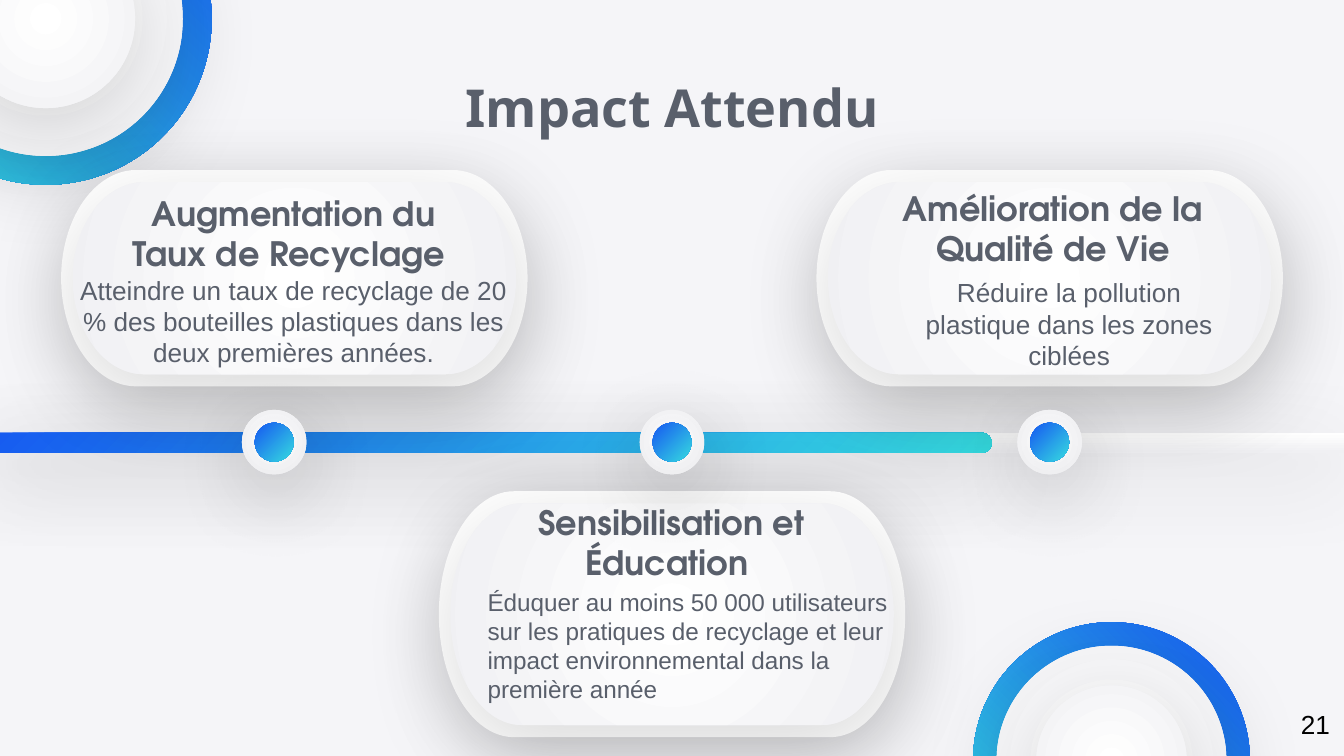
from dataclasses import dataclass

from lxml import etree
from pptx import Presentation
from pptx.dml.color import RGBColor
from pptx.enum.shapes import MSO_SHAPE
from pptx.enum.text import MSO_ANCHOR, MSO_AUTO_SIZE, PP_ALIGN
from pptx.oxml import parse_xml
from pptx.oxml.ns import nsdecls, qn
from pptx.util import Inches, Pt

OVAL = MSO_SHAPE.OVAL
PILL = MSO_SHAPE.FLOWCHART_TERMINATOR
BAR = MSO_SHAPE.RECTANGLE
ROUND_BAR = MSO_SHAPE.ROUNDED_RECTANGLE
MIDDLE = MSO_ANCHOR.MIDDLE
FIXED = MSO_AUTO_SIZE.NONE
GROW = MSO_AUTO_SIZE.SHAPE_TO_FIT_TEXT
CENTER = PP_ALIGN.CENTER
LEFT = PP_ALIGN.LEFT


@dataclass(frozen=True)
class Theme:
    background: str = "F5F5F8"
    text: str = "595F6B"
    number: str = "000000"
    white: str = "FFFFFF"
    pearl: tuple = ("FFFFFF", "F0F0F3")
    ocean: tuple = ("1658F1", "36DBE0")
    title_font: str = "Noto Sans"
    heading_font: str = "TeX Gyre Adventor"
    body_font: str = "Arial"
    title_size: int = 28
    heading_size: int = 18
    body_size: int = 14
    small_size: int = 13


THEME = Theme()
SLIDE_WIDTH = 10
SLIDE_HEIGHT = SLIDE_WIDTH * 9 / 16
LINE_Y = 3.29
MILESTONES = (2.04, 5, 7.81)
RINGS = (
    (0.34, 0.14, (2.47, 2.04, 1.33)),
    (8.27, 5.66, (2.06, 1.71, 1.12)),
)
CARDS = (
    (5, 4.57, 1.83),
    (7.81, 2.07, 1.61),
    (2.19, 2.07, 1.61),
)
HEADINGS = (
    ("Augmentation du Taux de Recyclage ", 0.78, 1.53),
    ("Sensibilisation et Éducation ", 3.59, 3.83),
    ("Amélioration de la Qualité de Vie", 6.43, 1.49),
)
DETAILS = (
    ("Réduire la pollution plastique dans les zones ciblées",
     (6.61, 2.01, 2.69, 0.57), THEME.body_size, CENTER),
    ("Atteindre un taux de recyclage de 20 % des bouteilles plastiques "
     "dans les deux premières années.",
     (0.41, 1.99, 3.55, 0.81), THEME.body_size, CENTER),
    ("Éduquer au moins 50 000 utilisateurs sur les pratiques de recyclage "
     "et leur impact environnemental dans la première année",
     (3.53, 4.32, 3.3, 0.98), THEME.small_size, LEFT),
)


def add_shadow(shape):
    effects = shape._element.spPr.find(qn("a:effectLst"))
    effects.append(parse_xml(
        f'<a:outerShdw {nsdecls("a")} blurRad="{Pt(45)}" dist="{Pt(11.2)}" '
        'dir="5100000" algn="bl" rotWithShape="0"><a:srgbClr val="000000">'
        '<a:alpha val="15000"/></a:srgbClr></a:outerShdw>'))


def fill_gradient(shape, colors, angle=None):
    shape.fill.gradient()
    for stop, color in zip(shape.fill.gradient_stops, colors):
        stop.color.rgb = RGBColor.from_string(color)
    if angle is not None:
        shape.fill.gradient_angle = angle
        return
    gradient = shape._element.spPr.find(qn("a:gradFill"))
    gradient.remove(gradient.find(qn("a:lin")))
    radial = etree.SubElement(gradient, qn("a:path"), path="circle")
    etree.SubElement(radial, qn("a:fillToRect"),
                     {side: "50000" for side in "ltrb"})


def add_form(slide, preset, box, colors, angle=None, rotation=0, shadow=True):
    shape = slide.shapes.add_shape(preset, *map(Inches, box))
    shape.rotation = rotation
    shape.line.fill.background()
    shape.shadow.inherit = False
    if isinstance(colors, str):
        shape.fill.solid()
        shape.fill.fore_color.rgb = RGBColor.from_string(colors)
    else:
        fill_gradient(shape, colors, angle)
    if shadow:
        add_shadow(shape)
    return shape


def centered_box(x, y, width, height):
    return x - width / 2, y - height / 2, width, height


def add_ring(slide, x, y, sizes):
    band, disc, core = (centered_box(x, y, size, size) for size in sizes)
    add_form(slide, OVAL, band, THEME.ocean, 315, 90, shadow=False)
    for box in (disc, core):
        add_form(slide, OVAL, box, THEME.pearl, rotation=90)


def add_timeline(slide):
    add_form(slide, BAR, (0, 3.22, SLIDE_WIDTH, 0.15), THEME.pearl, 270)
    progress = add_form(slide, ROUND_BAR, (-0.26, 3.22, 7.64, 0.15),
                        THEME.ocean, 315)
    progress.adjustments[0] = 0.5


def add_card(slide, x, y, height):
    add_form(slide, PILL, centered_box(x, y, 3.47, height),
             THEME.white, rotation=180)
    add_form(slide, PILL, centered_box(x, y, 3.3, height - 0.18),
             THEME.pearl, rotation=180)


def add_milestone(slide, x):
    add_form(slide, OVAL, centered_box(x, LINE_Y, 0.48, 0.48), THEME.pearl)
    add_form(slide, OVAL, centered_box(x, LINE_Y, 0.29, 0.29),
             THEME.ocean, 315)


def write_text(frame, text, font, size, align=CENTER, bold=False,
               color=THEME.text):
    frame.text = text
    paragraph = frame.paragraphs[0]
    paragraph.alignment = align
    for run in paragraph.runs:
        run.font.name = font
        run.font.size = Pt(size)
        run.font.bold = bold
        run.font.color.rgb = RGBColor.from_string(color)


def center_frame(frame):
    frame.word_wrap = True
    frame.auto_size = FIXED
    frame.vertical_anchor = MIDDLE
    frame.margin_left = frame.margin_right = Inches(0.1)
    frame.margin_top = frame.margin_bottom = Inches(0.1)


def set_title(slide, text):
    title = slide.shapes.title
    title.left, title.top, title.width, title.height = map(
        Inches, (0.78, 0.59, 8.44, 0.41))
    center_frame(title.text_frame)
    write_text(title.text_frame, text, THEME.title_font, THEME.title_size,
               bold=True)


def add_heading(slide, text, left, top):
    box = (left, top, 2.81, 0.41)
    frame = slide.shapes.add_textbox(*map(Inches, box)).text_frame
    center_frame(frame)
    write_text(frame, text, THEME.heading_font, THEME.heading_size, bold=True)


def add_detail(slide, text, box, size, align, color=THEME.text, wrap=True):
    frame = slide.shapes.add_textbox(*map(Inches, box)).text_frame
    frame.word_wrap = wrap
    frame.auto_size = GROW
    write_text(frame, text, THEME.body_font, size, align, color=color)


def main():
    deck = Presentation()
    deck.slide_width = Inches(SLIDE_WIDTH)
    deck.slide_height = Inches(SLIDE_HEIGHT)
    slide = deck.slides.add_slide(deck.slide_layouts[5])
    slide.background.fill.solid()
    slide.background.fill.fore_color.rgb = RGBColor.from_string(
        THEME.background)
    for ring in RINGS:
        add_ring(slide, *ring)
    add_timeline(slide)
    for card in CARDS:
        add_card(slide, *card)
    set_title(slide, "Impact Attendu")
    for heading in HEADINGS:
        add_heading(slide, *heading)
    for milestone in MILESTONES:
        add_milestone(slide, milestone)
    for detail in DETAILS:
        add_detail(slide, *detail)
    add_detail(slide, "21", (9.58, 5.22, 0.42, 0.34), THEME.body_size, LEFT,
               THEME.number, wrap=False)
    deck.save("out.pptx")


if __name__ == "__main__":
    main()
